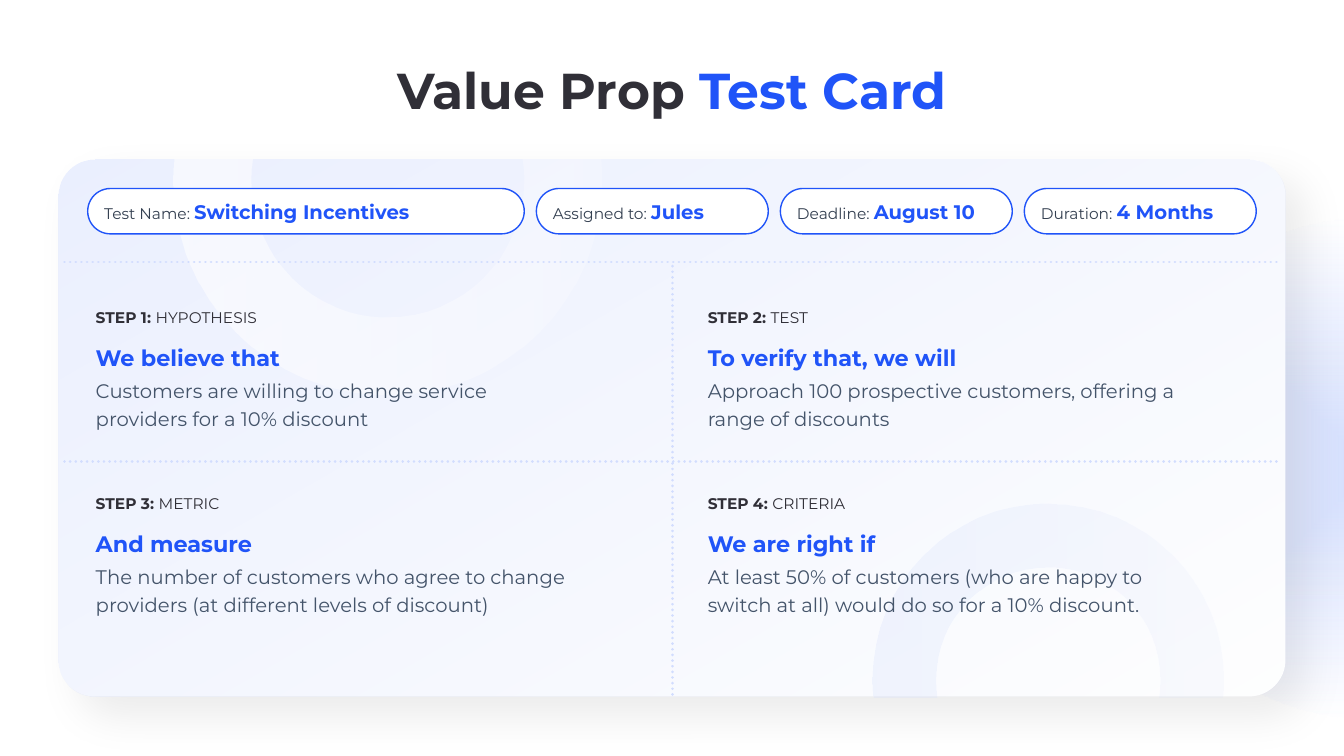
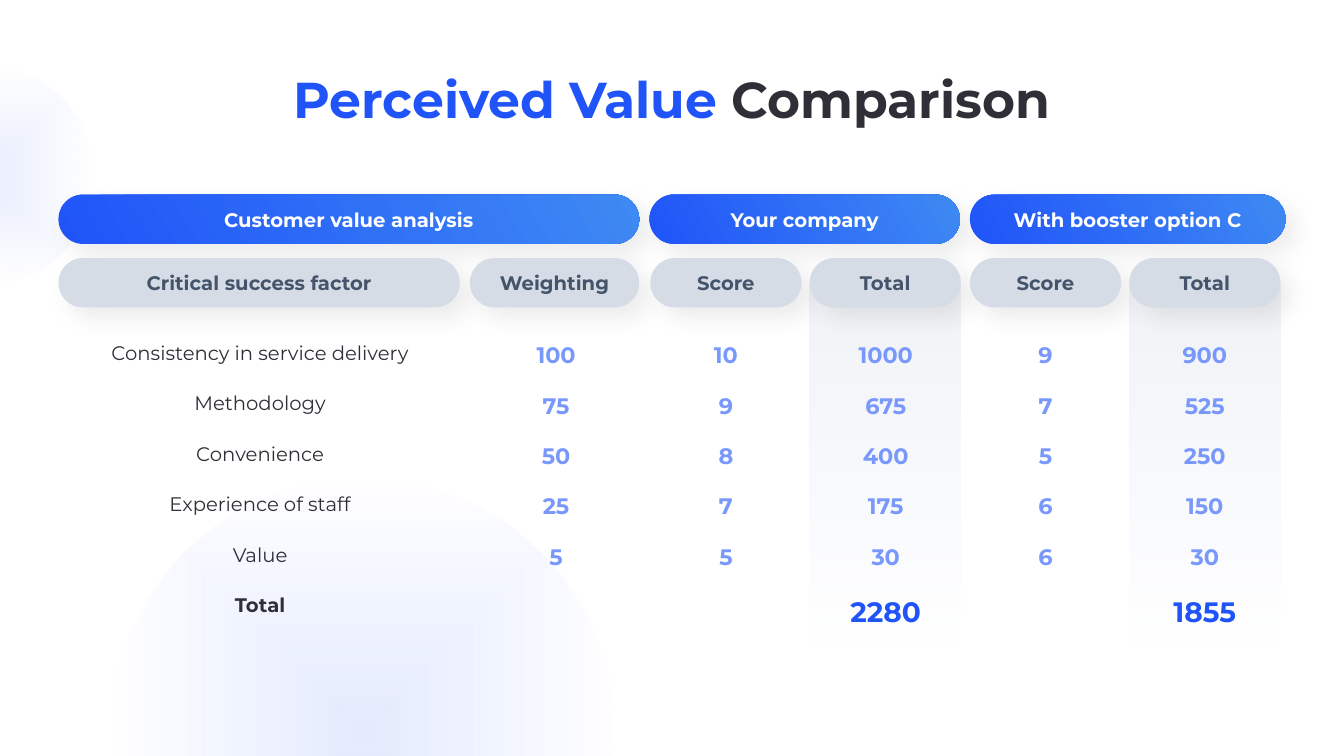
"""Build a value proposition test card and a perceived value comparison."""
import math
from dataclasses import dataclass

from lxml import etree
from pptx import Presentation, util as u
from pptx.dml.color import RGBColor
from pptx.enum import dml, shapes, text
from pptx.oxml import parse_xml
from pptx.oxml.ns import nsdecls, qn


@dataclass(frozen=True)
class Style:
    """Size, colour and weight of a run."""
    size: int
    colour: str
    bold: bool = False


class Theme:
    """Colours and text styles shared by the slides."""
    font = "Montserrat"
    blue, sky, pale, grey = "2054F8", "3E89F3", "D2DDFE", "D6DCE5"
    white, black, ink, slate = "FFFFFF", "000000", "302F37", "44546A"
    title, title_accent = Style(36, ink, True), Style(36, blue, True)
    pill_label, pill_value = Style(11, "333F50"), Style(14, blue, True)
    step, step_name = Style(11, ink, True), Style(11, ink)
    heading, body = Style(16, blue, True), Style(14, slate)
    group, column = Style(14, white, True), Style(14, slate, True)
    factor, factor_total = Style(14, ink), Style(14, ink, True)
    score, score_total = Style(16, "7998FB", True), Style(20, blue, True)
    card_shadow, pill_shadow = (30, 20), (17, 10)


LEFT, CENTER = text.PP_ALIGN.LEFT, text.PP_ALIGN.CENTER
SHAPE = shapes.MSO_SHAPE
NO_TABLE_STYLE = "{2D5ABB26-0587-4C30-8999-92F81FD0307C}"
CARD = (0.58, 1.58, 12.17, 5.33)

TEST_FIELDS = [
    ("Test Name: ", "Switching Incentives", 4.33), ("Assigned to: ", "Jules", 2.3),
    ("Deadline: ", "August 10", 2.3), ("Duration: ", "4 Months", 2.3),
]
STEPS = [
    ("HYPOTHESIS", "We believe that",
     "Customers are willing to change service providers for a 10% discount"),
    ("TEST", "To verify that, we will",
     "Approach 100 prospective customers, offering a range of discounts"),
    ("METRIC", "And measure",
     "The number of customers who agree to change providers (at different levels of discount)"),
    ("CRITERIA", "We are right if",
     "At least 50% of customers (who are happy to switch at all) would do so for a 10% discount."),
]
GROUPS = [
    ("Customer value analysis", 0.58, 5.76), ("Your company", 6.44, 3.08),
    ("With booster option C", 9.62, 3.13),
]
COLUMNS = [
    ("Critical success factor", 0.58, 3.98), ("Weighting", 4.66, 1.68),
    ("Score", 6.45, 1.5), ("Total", 8.03, 1.5), ("Score", 9.62, 1.5), ("Total", 11.2, 1.5),
]
SCORES = [
    ("Consistency in service delivery", "100", "10", "1000", "9", "900"),
    ("Methodology", "75", "9", "675", "7", "525"),
    ("Convenience", "50", "8", "400", "5", "250"),
    ("Experience of staff", "25", "7", "175", "6", "150"),
    ("Value", "5", "5", "30", "6", "30"),
    ("Total", "", "", "2280", "", "1855"),
]


def inches(box):
    """Turn a box of plain numbers into lengths."""
    return [u.Inches(value) for value in box]


def write(frame, *runs, align=LEFT, spacing=None):
    """Write (text, style) runs as the first paragraph of a frame."""
    paragraph = frame.paragraphs[0]
    paragraph.alignment = align
    paragraph.line_spacing = spacing
    for words, style in runs:
        run = paragraph.add_run()
        run.text = words
        run.font.name = Theme.font
        run.font.size = u.Pt(style.size)
        run.font.bold = style.bold
        run.font.color.rgb = RGBColor.from_string(style.colour)


def add_text(slide, box, *runs, **format):
    """Add a wrapping text box without insets."""
    frame = slide.shapes.add_textbox(*inches(box)).text_frame
    frame.word_wrap = True
    frame.margin_left = frame.margin_right = frame.margin_top = frame.margin_bottom = 0
    write(frame, *runs, **format)


def add_title(slide, top, *runs):
    """Add the centred slide title."""
    add_text(slide, (0.58, top, 12.17, 1), *runs, align=CENTER)


def fill_gradient(shape, start, end, angle=None):
    """Fill a shape between two (colour, opacity) stops, radially without an angle."""
    stops = "".join(
        f'<a:gs pos="{position}"><a:srgbClr val="{colour}">'
        f'<a:alpha val="{opacity * 1000}"/></a:srgbClr></a:gs>'
        for position, (colour, opacity) in ((0, start), (100000, end)))
    course = ('<a:path path="shape"><a:fillToRect l="50000" t="50000" r="50000" b="50000"/>'
              '</a:path>' if angle is None else f'<a:lin ang="{angle * 60000}" scaled="0"/>')
    shape.fill.background()
    properties = shape._element.spPr
    properties.replace(properties.find(qn("a:noFill")), parse_xml(
        f'<a:gradFill {nsdecls("a")} rotWithShape="1"><a:gsLst>{stops}</a:gsLst>'
        f'{course}</a:gradFill>'))


def cast_shadow(shape, blur, distance):
    """Give a shape a faint shadow down to the right."""
    shape._element.spPr.find(qn("a:effectLst")).append(parse_xml(
        f'<a:outerShdw {nsdecls("a")} blurRad="{u.Pt(blur)}" dist="{u.Pt(distance)}" '
        f'dir="2700000" algn="tl" rotWithShape="0"><a:srgbClr val="{Theme.black}">'
        '<a:alpha val="8000"/></a:srgbClr></a:outerShdw>'))


def paint(shape, fill=None, gradient=None, outline=None, shadow=None):
    """Set the fill, outline and shadow of a shape."""
    shape.shadow.inherit = False
    if gradient:
        fill_gradient(shape, *gradient)
    else:
        shape.fill.solid()
        shape.fill.fore_color.rgb = RGBColor.from_string(fill)
    if outline:
        shape.line.color.rgb = RGBColor.from_string(outline)
        shape.line.width = u.Pt(1)
    else:
        shape.line.fill.background()
    if shadow:
        cast_shadow(shape, *shadow)


def add_panel(slide, kind, box, corner=None, **look):
    """Add a painted preset shape."""
    shape = slide.shapes.add_shape(kind, *inches(box))
    if corner is not None:
        shape.adjustments[0] = corner
    paint(shape, **look)
    return shape


def add_pill(slide, box, *runs, align=LEFT, inset=0.1, **look):
    """Add a fully rounded shape holding one line of text."""
    frame = add_panel(slide, SHAPE.ROUNDED_RECTANGLE, box, corner=0.5, **look).text_frame
    frame.word_wrap = True
    frame.vertical_anchor = text.MSO_ANCHOR.MIDDLE
    frame.margin_left = frame.margin_right = u.Inches(inset)
    write(frame, *runs, align=align)


def add_glow(slide, left, top, size, opacity):
    """Add a circle that fades out from its centre."""
    add_panel(slide, SHAPE.OVAL, (left, top, size, size),
              gradient=((Theme.pale, opacity), (Theme.pale, 0)))


def arc_points(x, y, radius, reach):
    """List the Bézier points of a circle's part left of x + reach."""
    cut = math.acos(reach / radius)
    stops = [cut, math.pi / 2, math.pi, 1.5 * math.pi, 2 * math.pi - cut]
    points = [(cut, 0)]
    for start, end in zip(stops, stops[1:]):
        handle = 4 / 3 * math.tan((end - start) / 4)
        points += [(start, handle), (end, -handle), (end, 0)]
    return [(u.Inches(x + radius * (math.cos(angle) - pull * math.sin(angle))),
             u.Inches(y + radius * (math.sin(angle) + pull * math.cos(angle))))
            for angle, pull in points]


def add_ring(slide, left, top, width, radii, rotation, gradient):
    """Add a ring cut off on its right side, then turned."""
    outer, inner = (arc_points(left + radii[0], top + radii[0], radius, width - radii[0])
                    for radius in radii)
    builder = slide.shapes.build_freeform(*outer[0])
    builder.add_line_segments(outer[1:] + inner[::-1], close=True)
    ring = builder.convert_to_shape()
    segments = list(ring._element.spPr.iter(qn("a:lnTo")))
    for first in (0, 3, 6, 9, 13, 16, 19, 22):
        curve = etree.Element(qn("a:cubicBezTo"))
        segments[first].addprevious(curve)
        for segment in segments[first:first + 3]:
            curve.append(segment[0])
            segment.getparent().remove(segment)
    ring.rotation = rotation
    paint(ring, gradient=gradient)


def add_dotted_line(slide, *ends):
    """Add a dotted divider from x, y to x, y."""
    line = slide.shapes.add_connector(shapes.MSO_CONNECTOR.STRAIGHT, *inches(ends))
    line.line.color.rgb = RGBColor.from_string(Theme.pale)
    line.line.width = u.Pt(2)
    line.line.dash_style = dml.MSO_LINE.ROUND_DOT
    line._element.spPr.find(qn("a:ln")).set("cap", "rnd")
    etree.SubElement(line._element.spPr, qn("a:effectLst"))


def add_step(slide, number, left, top, name, heading, body):
    """Add one quadrant of the test card."""
    lines = [
        (0, 4.97, [(f"STEP {number}: ", Theme.step), (name, Theme.step_name)]),
        (0.34, 4.97, [(heading, Theme.heading)]),
        (0.69, 4.8, [(body, Theme.body)]),
    ]
    for offset, width, runs in lines:
        add_text(slide, (left, top + offset, width, 0.3), *runs, spacing=1.2)


def add_score_table(slide, top, row_height):
    """Add the unfilled table of factors, scores and totals."""
    edges = [left - 0.04 for _, left, _ in COLUMNS] + [12.74]
    widths = [right - left for left, right in zip(edges, edges[1:])]
    box = (edges[0], top, sum(widths), row_height * len(SCORES))
    table = slide.shapes.add_table(len(SCORES), len(COLUMNS), *inches(box)).table
    table.first_row = table.horz_banding = False
    table._tbl.tblPr.find(qn("a:tableStyleId")).text = NO_TABLE_STYLE
    for column, width in zip(table.columns, widths):
        column.width = u.Inches(width)
    for row, values in enumerate(SCORES):
        is_total = row == len(SCORES) - 1
        factor = Theme.factor_total if is_total else Theme.factor
        score = Theme.score_total if is_total else Theme.score
        for column, value in enumerate(values):
            cell = table.cell(row, column)
            cell.fill.background()
            cell.margin_left = cell.margin_right = cell.margin_top = cell.margin_bottom = 0
            if value:
                write(cell.text_frame, (value, score if column else factor),
                      align=CENTER, spacing=1.2)


def build_test_card(slide):
    """Draw the test card with its fields and four steps."""
    add_glow(slide, 11.11, 2.16, 4.97, 100)
    for look in ({"fill": Theme.white, "shadow": Theme.card_shadow},
                 {"gradient": ((Theme.pale, 45), (Theme.pale, 2), 60)}):
        add_panel(slide, SHAPE.ROUNDED_RECTANGLE, CARD, 0.068, **look)
    add_ring(slide, 2.68, 0.63, 2.33, (2.12, 1.35), 270, ((Theme.white, 63), (Theme.white, 25), 90))
    add_title(slide, 0.59, ("Value Prop ", Theme.title), ("Test Card", Theme.title_accent))
    left = 0.87
    for label, value, width in TEST_FIELDS:
        add_pill(slide, (left, 1.87, width, 0.45), (label, Theme.pill_label),
                 (value, Theme.pill_value), fill=Theme.white, outline=Theme.blue)
        left += width + 0.12
    add_ring(slide, 9.43, 4.22, 1.92, (1.74, 1.11), 90, ((Theme.pale, 10), (Theme.pale, 25), 90))
    for index, step in enumerate(STEPS):
        row, column = divmod(index, 2)
        add_step(slide, index + 1, 0.95 + 6.07 * column, 3.02 + 1.85 * row, *step)
    for y in (2.6, 4.58):
        add_dotted_line(slide, 0.64, y, 12.69, y)
    add_dotted_line(slide, 6.67, 2.64, 6.67, 6.92)


def build_comparison(slide):
    """Draw the comparison table under its two rows of headers."""
    add_glow(slide, -1.25, 0.65, 2.18, 50)
    add_glow(slide, 1.11, 4.75, 4.97, 60)
    for label, left, width in COLUMNS:
        if label == "Total":
            add_panel(slide, SHAPE.RECTANGLE, (left, 2.81, width, 3.6),
                      gradient=((Theme.grey, 35), (Theme.pale, 0), 90))
    add_title(slide, 0.68, ("Perceived Value ", Theme.title_accent), ("Comparison", Theme.title))
    headers = [
        (GROUPS, 1.93, Theme.group, {"gradient": ((Theme.blue, 100), (Theme.sky, 100), 330)}),
        (COLUMNS, 2.56, Theme.column, {"fill": Theme.grey}),
    ]
    for cells, top, style, look in headers:
        for label, left, width in cells:
            add_pill(slide, (left, top, width, 0.49), (label, style), align=CENTER,
                     inset=0, shadow=Theme.pill_shadow, **look)
    add_score_table(slide, 3.34, 0.5)


def main():
    """Build and save the presentation."""
    presentation = Presentation()
    presentation.slide_width, presentation.slide_height = inches((13.33, 7.5))
    for build in (build_test_card, build_comparison):
        build(presentation.slides.add_slide(presentation.slide_layouts[6]))
    presentation.save("out.pptx")


if __name__ == "__main__":
    main()
